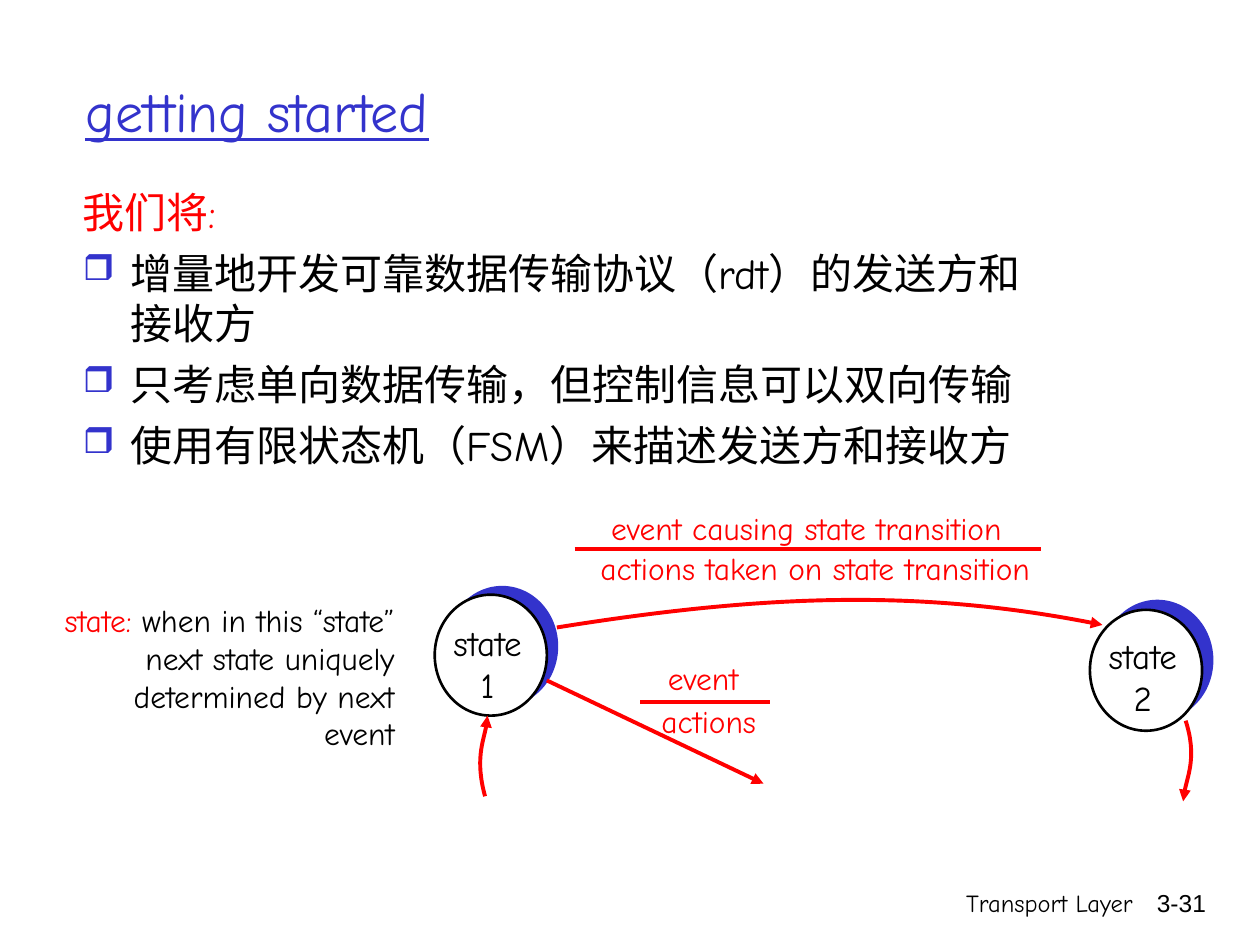
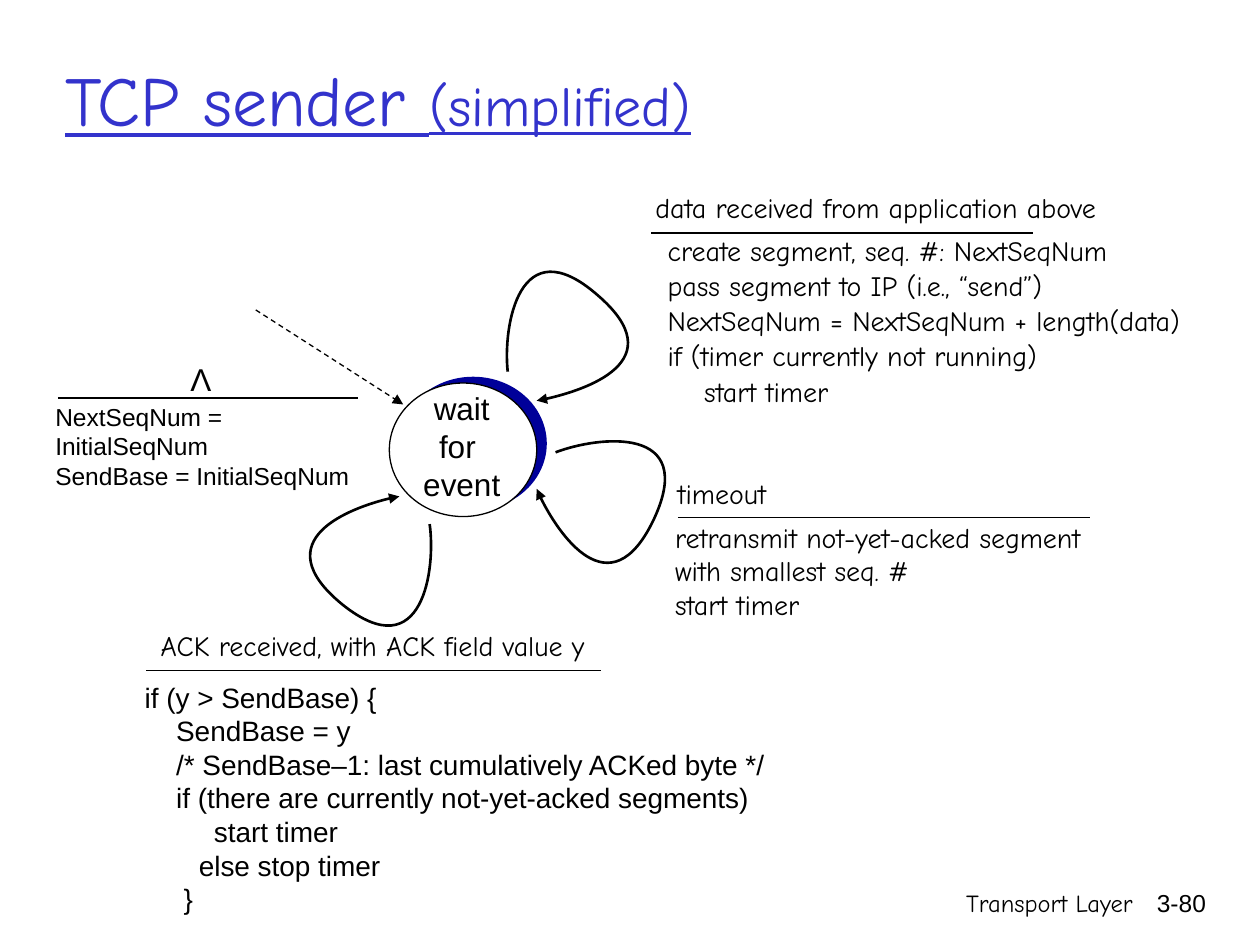
from lxml.etree import SubElement
from pptx import Presentation
from pptx.dml.color import RGBColor
from pptx.enum.dml import MSO_LINE
from pptx.enum.shapes import MSO_CONNECTOR, MSO_SHAPE
from pptx.enum.text import MSO_ANCHOR, PP_ALIGN
from pptx.oxml.ns import qn
from pptx.util import Inches, Pt

BLACK = RGBColor(0x00, 0x00, 0x00)
WHITE = RGBColor(0xFF, 0xFF, 0xFF)
RED = RGBColor(0xFF, 0x00, 0x00)
BLUE = RGBColor(0x33, 0x33, 0xCC)
NAVY = RGBColor(0x00, 0x00, 0x99)
HAND, PLAIN = "Comic Neue", "Arial"
LEFT, CENTER, RIGHT = PP_ALIGN.LEFT, PP_ALIGN.CENTER, PP_ALIGN.RIGHT
MIDDLE = MSO_ANCHOR.MIDDLE
STRAIGHT, OVAL, DASH = MSO_CONNECTOR.STRAIGHT, MSO_SHAPE.OVAL, MSO_LINE.DASH
HANGING = 0.38


def add_text(slide, box, lines, size, color=BLACK, font=HAND, align=LEFT, wrap=False):
    """Each line is a string, or a list of (text, size, color) runs."""
    frame = slide.shapes.add_textbox(*[Inches(v) for v in box]).text_frame
    frame.word_wrap = wrap
    for number, line in enumerate(lines):
        paragraph = frame.paragraphs[0] if number == 0 else frame.add_paragraph()
        paragraph.alignment = align
        runs = [(line, size, color)] if isinstance(line, str) else line
        for text, run_size, run_color in runs:
            run = paragraph.add_run()
            run.text = text
            run.font.name = font
            run.font.size = Pt(run_size)
            run.font.color.rgb = run_color
    return frame


def add_stroke(slide, points, color, width, arrow=True, dash=None):
    """Two points give a straight line, more give a chain of cubic curves."""
    points = [(Inches(x), Inches(y)) for x, y in points]
    if len(points) == 2:
        stroke = slide.shapes.add_connector(STRAIGHT, *points[0], *points[1])
    else:
        builder = slide.shapes.build_freeform(*points[0])
        builder.add_line_segments(points[1:], close=False)
        stroke = builder.convert_to_shape()
        stroke.fill.background()
        # Every three segments become one cubic curve
        segments = list(stroke._element.iter(qn("a:lnTo")))
        for first, second, third in zip(*[iter(segments)] * 3):
            first.tag = qn("a:cubicBezTo")
            for segment in (second, third):
                first.append(segment[0])
                segment.getparent().remove(segment)
    stroke.line.color.rgb = color
    stroke.line.width = Pt(width)
    if dash:
        stroke.line.dash_style = dash
    if arrow:
        SubElement(stroke.line._get_or_add_ln(), qn("a:tailEnd"), type="triangle")
    SubElement(stroke._element.spPr, qn("a:effectLst"))


prs = Presentation()
prs.slide_width, prs.slide_height = Inches(10), Inches(7.5)

# Slides with their titles and footers
slides = []
for number, title_box, title_runs in [
    ("3-31", (0.58, 0.25, 8.5, 1.25), [("getting started", 32, BLUE)]),
    ("3-80", (0.42, 0.29, 8.46, 0.98),
     [("TCP sender ", 40, BLUE), ("(simplified)", 32, BLUE)]),
]:
    slide = prs.slides.add_slide(prs.slide_layouts[6])
    slides.append(slide)
    add_text(slide, (5.92, 7, 3.17, 0.5), ["Transport Layer"], 14, align=RIGHT, wrap=True)
    add_text(slide, (8.93, 7, 0.74, 0.5), [number], 14, font=PLAIN, align=RIGHT, wrap=True)
    title = add_text(slide, title_box, [title_runs], 32, wrap=True)
    title.vertical_anchor = MIDDLE
    for run in title.paragraphs[0].runs:
        run.font.underline = True
started, sender = slides

# State discs: a coloured one behind, a white one in front, and the label
for slide, back, front, size, behind, outline, label_box, label, label_size, font in [
    (started, (3.54, 4.65), (3.45, 4.72), (0.89, 0.96), BLUE, 1.5,
     (3.49, 4.88, 0.76, 0.77), ["state", "1"], 20, HAND),
    (started, (8.74, 4.76), (8.65, 4.84), (0.89, 0.96), BLUE, 1.5,
     (8.69, 4.99, 0.76, 0.77), ["state", "2"], 20, HAND),
    (sender, (3.17, 2.99), (3.09, 3.04), (1.17, 1.06), NAVY, 0.75,
     (3.26, 3.04, 0.81, 1), ["wait", "for ", "event"], 18, PLAIN),
]:
    for corner, fill in [(back, behind), (front, WHITE)]:
        disc = slide.shapes.add_shape(OVAL, *[Inches(v) for v in corner + size])
        disc.shadow.inherit = False
        disc.fill.solid()
        disc.fill.fore_color.rgb = fill
        if fill == WHITE:
            disc.line.color.rgb = BLACK
            disc.line.width = Pt(outline)
        else:
            disc.line.fill.background()
    add_text(slide, label_box, label, label_size, font=font, align=CENTER)

# Slide 1: goals
goals = add_text(started, (0.56, 1.43, 7.94, 2.46), [
    [("我们将:", 24, RED)],
    "增量地开发可靠数据传输协议（rdt）的发送方和接收方",
    "只考虑单向数据传输，但控制信息可以双向传输",
    "使用有限状态机（FSM）来描述发送方和接收方",
], 24, wrap=True)
note = add_text(started, (0.2, 4.72, 3.03, 1.35), [[
    ("state:", 18, RED),
    (" when in this “state” next state uniquely determined by next event", 18, BLACK),
]], 18, align=RIGHT, wrap=True)
for frame, gap in [(goals, 6), (note, 4.5)]:
    for paragraph in frame.paragraphs:
        paragraph.space_before = Pt(gap)
        properties = paragraph._p.get_or_add_pPr()
        properties.set("marL", str(Inches(HANGING)))
        properties.set("indent", str(-Inches(HANGING)))
for paragraph in goals.paragraphs[1:]:
    properties = paragraph._p.get_or_add_pPr()
    SubElement(SubElement(properties, qn("a:buClr")), qn("a:srgbClr"), val=str(BLUE))
    SubElement(properties, qn("a:buSzPct"), val="85000")
    SubElement(properties, qn("a:buChar"), char="❒")

# Slide 1: transition labels, event over actions
for box, text in [
    ((4.74, 3.99, 3.32, 0.4), "event causing state transition"),
    ((4.65, 4.31, 3.64, 0.4), "actions taken on state transition"),
    ((5.2, 5.18, 0.76, 0.4), "event"),
    ((5.15, 5.52, 0.95, 0.4), "actions"),
]:
    add_text(started, box, [text], 18, RED, align=CENTER)
for left, right, y in [(4.56, 8.26, 4.36), (5.08, 6.11, 5.57)]:
    add_stroke(started, [(left, y), (right, y)], RED, 2.25, arrow=False)

# Slide 1: transitions
for points in [
    [(4.42, 4.98), (6.04, 4.72), (7.33, 4.67), (8.75, 4.96)],
    [(3.85, 6.32), (3.77, 6.03), (3.87, 5.78), (3.87, 5.68)],
    [(9.41, 5.72), (9.5, 6), (9.39, 6.26), (9.39, 6.36)],
    [(4.34, 5.4), (6.06, 6.22)],
]:
    add_stroke(started, points, RED, 2.25)

# Slide 2: events
for box, text, size, font in [
    ((1.41, 2.81, 0.37, 0.4), "Λ", 18, PLAIN),
    ((5.09, 1.46, 3.72, 0.37), "data received from application above", 16, HAND),
    ((5.28, 3.73, 0.9, 0.37), "timeout", 16, HAND),
    ((1.17, 4.94, 3.65, 0.37), "ACK received, with ACK field value y ", 16, HAND),
]:
    add_text(sender, box, [text], size, font=font, align=CENTER)
for left, right, y in [(0.46, 2.84, 3.16), (5.17, 8.2, 1.85),
                       (5.38, 8.65, 4.11), (1.16, 4.77, 5.32)]:
    add_stroke(sender, [(left, y), (right, y)], BLACK, 0.75, arrow=False)

# Slide 2: actions, each line with its indent
for box, size, font, wrap, spacing, actions in [
    ((0.34, 3.14, 2.79, 0.57), 14, PLAIN, False, 1.0, [
        ("NextSeqNum = InitialSeqNum", 0),
        ("SendBase = InitialSeqNum", 0),
    ]),
    ((5.2, 1.79, 4.35, 1.77), 16, HAND, False, 1.05, [
        ("create segment, seq. #: NextSeqNum", 0),
        ("pass segment to IP (i.e., “send”)", 0),
        ("NextSeqNum = NextSeqNum + length(data)", 0),
        ("if (timer currently not running)", 0),
        ("start timer", 0.29),
    ]),
    ((5.26, 4.08, 3.6, 0.9), 16, HAND, True, 1.0, [
        ("retransmit not-yet-acked segment with smallest seq. #", 0),
        ("start timer", 0),
    ]),
    ((1.05, 5.35, 5.13, 1.97), 16, PLAIN, False, 1.0, [
        ("if (y > SendBase) {", 0),
        ("SendBase = y", 0.25),
        ("/* SendBase–1: last cumulatively ACKed byte */", 0.25),
        ("if (there are currently not-yet-acked segments)", 0.25),
        ("start timer", 0.55),
        ("else stop timer", 0.43),
        ("}", 0.31),
    ]),
]:
    frame = add_text(sender, box, [text for text, _ in actions], size, font=font, wrap=wrap)
    for paragraph, (_, indent) in zip(frame.paragraphs, actions):
        paragraph.line_spacing = spacing
        paragraph._p.get_or_add_pPr().set("marL", str(Inches(indent)))

# Slide 2: initial arrow and the three loops back to the state
add_stroke(sender, [(2.03, 2.46), (3.2, 3.21)], BLACK, 0.75, dash=DASH)
for points in [
    [(4.03, 2.95), (3.99, 2.59), (4.12, 1.8), (4.74, 2.34),
     (5.36, 2.87), (4.52, 3.14), (4.26, 3.18)],
    [(4.41, 3.59), (4.75, 3.46), (5.54, 3.37), (5.19, 4.12),
     (4.84, 4.86), (4.35, 4.12), (4.26, 3.88)],
    [(3.41, 4.16), (3.46, 4.51), (3.36, 5.31), (2.72, 4.8),
     (2.08, 4.28), (2.91, 3.98), (3.17, 3.94)],
]:
    add_stroke(sender, points, BLACK, 1.5)

prs.save("out.pptx")
